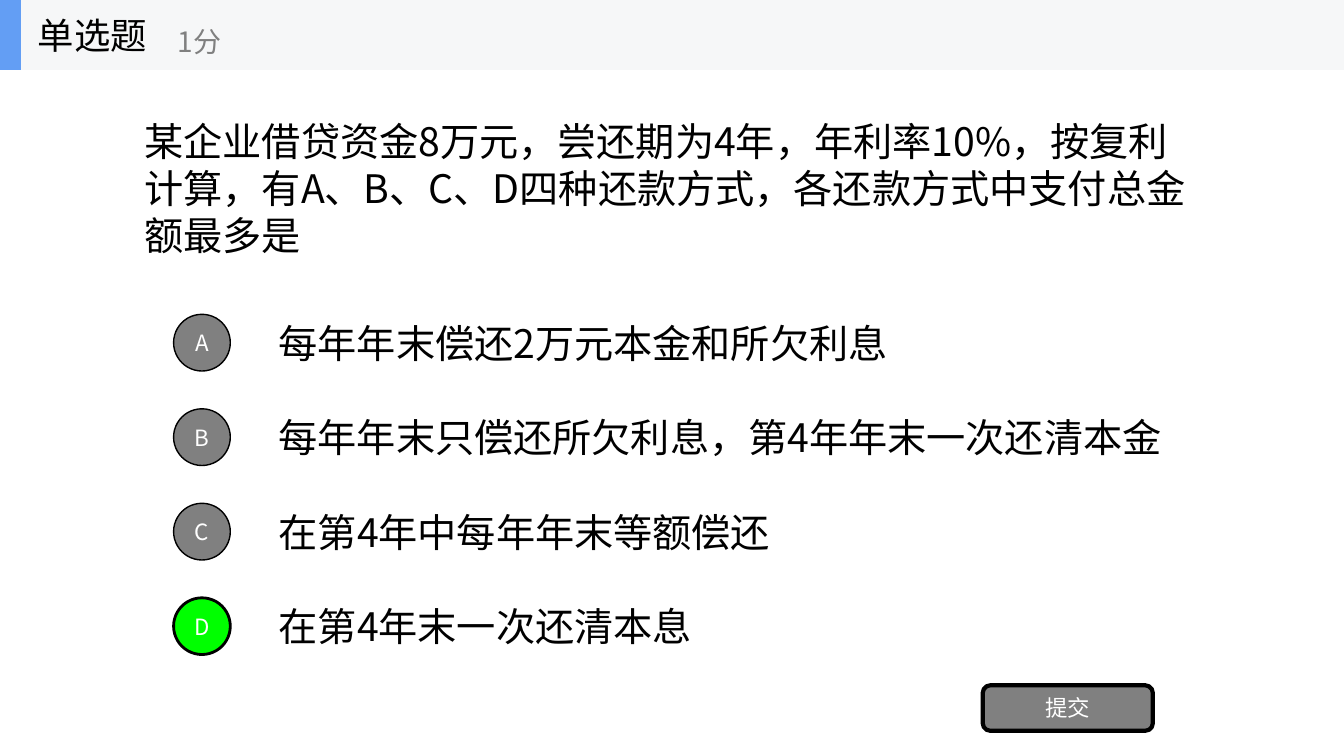
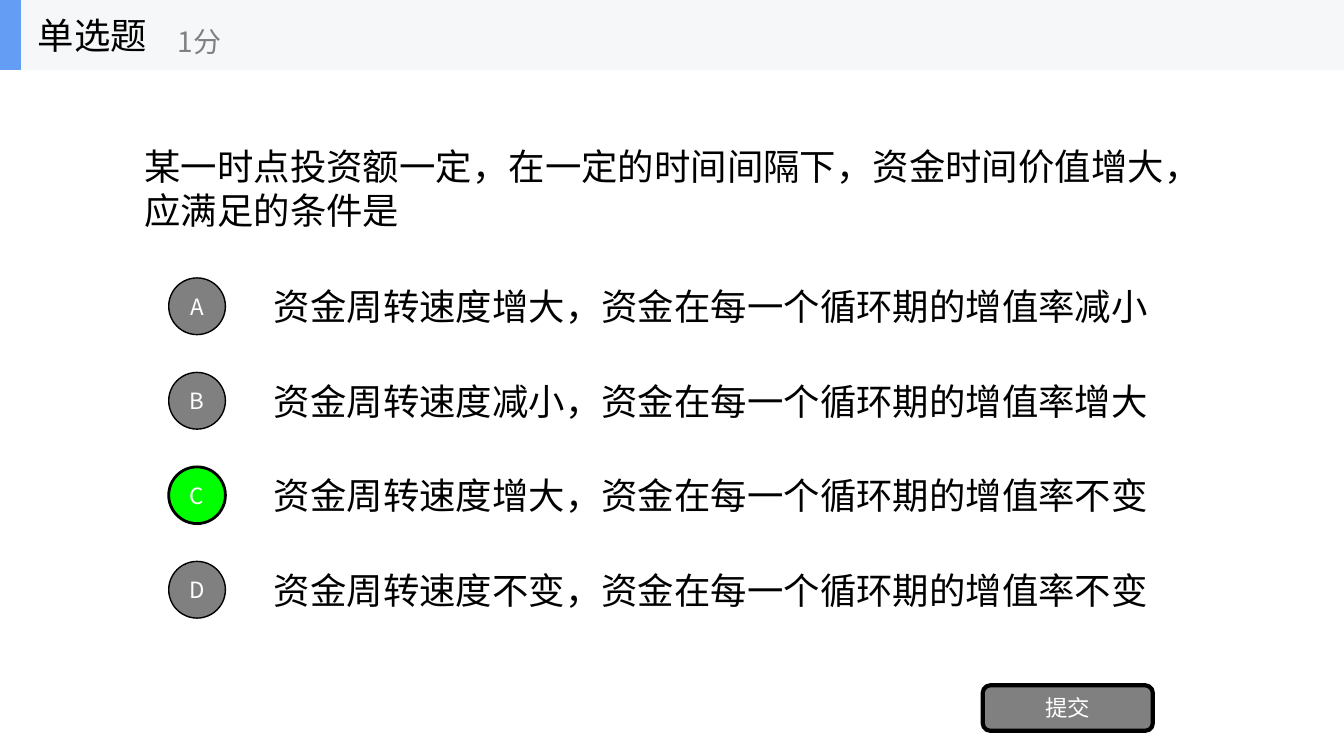
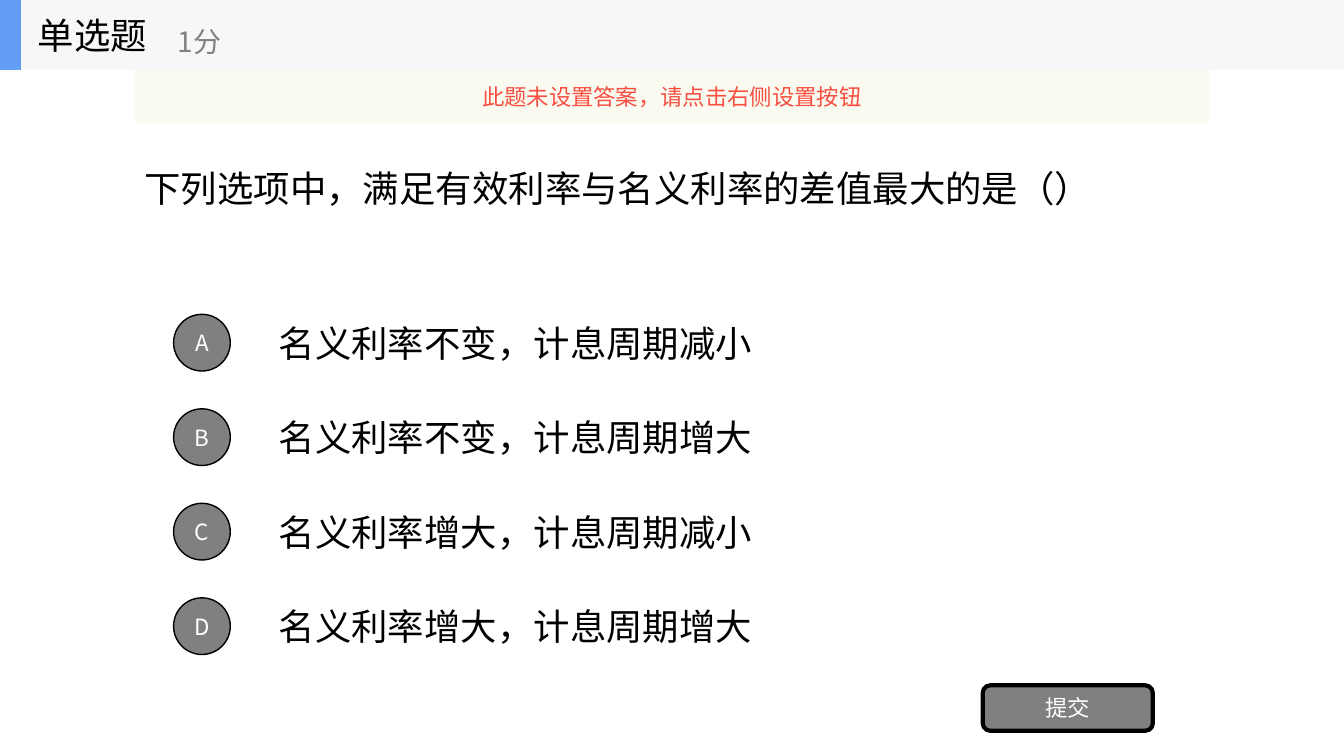
import pptx
import pptx.dml.color
import pptx.enum.shapes
import pptx.enum.text
import pptx.oxml.ns
import pptx.util
import lxml.etree
from dataclasses import dataclass

Pt = pptx.util.Pt
Shape = pptx.enum.shapes.MSO_SHAPE
Align = pptx.enum.text.PP_ALIGN
qn = pptx.oxml.ns.qn
rgb = pptx.dml.color.RGBColor.from_string


@dataclass(frozen=True)
class Theme:
    font: str = "Noto Sans CJK SC"
    ink: str = "000000"
    muted: str = "808080"
    white: str = "FFFFFF"
    band: str = "F6F7F8"
    accent: str = "639EF4"
    correct: str = "00FF00"
    notice_fill: str = "FBFAEF"
    notice_ink: str = "F84F41"
    heading_size: int = 26
    score_size: int = 20
    label_size: int = 16


theme = Theme()


def write_text(box, text, *, size, color=theme.ink, align=Align.LEFT):
    """Fill a box with one vertically centred paragraph."""
    frame = box.text_frame
    frame.word_wrap = True
    frame.auto_size = pptx.enum.text.MSO_AUTO_SIZE.NONE
    frame.vertical_anchor = pptx.enum.text.MSO_ANCHOR.MIDDLE
    para = frame.paragraphs[0]
    para.alignment = align
    span = para.add_run()
    span.text = text
    span.font.size = Pt(size)
    span.font.name = theme.font
    span.font.color.rgb = rgb(color)
    east_asian = lxml.etree.SubElement(span.font.element if hasattr(span.font, "element")
                                       else span.font._element, qn("a:ea"))
    east_asian.set("typeface", theme.font)


def add_filled(shapes, kind, left, top, width, height, fill, line_width=0):
    """Add a flat preset shape, outlined only when a line width is given."""
    shape = shapes.add_shape(kind, Pt(left), Pt(top), Pt(width), Pt(height))
    shape.shadow.inherit = False
    shape.fill.solid()
    shape.fill.fore_color.rgb = rgb(fill)
    if line_width:
        shape.line.color.rgb = rgb(theme.ink)
        shape.line.width = Pt(line_width)
    else:
        shape.line.fill.background()
    return shape


# Content of the questions
questions = [
    {
        "text": "某企业借贷资金8万元，尝还期为4年，年利率10%，按复利计算，"
                "有A、B、C、D四种还款方式，各还款方式中支付总金额最多是",
        "options": ["每年年末偿还2万元本金和所欠利息",
                    "每年年末只偿还所欠利息，第4年年末一次还清本金",
                    "在第4年中每年年末等额偿还",
                    "在第4年末一次还清本息"],
        "answer": "D", "size": 28, "left": 192, "top": 219.5, "notice": None,
    },
    {
        "text": "某一时点投资额一定，在一定的时间间隔下，资金时间价值增大，应满足的条件是",
        "options": ["资金周转速度增大，资金在每一个循环期的增值率减小",
                    "资金周转速度减小，资金在每一个循环期的增值率增大",
                    "资金周转速度增大，资金在每一个循环期的增值率不变",
                    "资金周转速度不变，资金在每一个循环期的增值率不变"],
        "answer": "C", "size": 26, "left": 188.5, "top": 193.5, "notice": None,
    },
    {
        "text": "下列选项中，满足有效利率与名义利率的差值最大的是（）",
        "options": ["名义利率不变，计息周期减小",
                    "名义利率不变，计息周期增大",
                    "名义利率增大，计息周期减小",
                    "名义利率增大，计息周期增大"],
        "answer": None, "size": 26, "left": 192, "top": 219.5,
        "notice": "此题未设置答案，请点击右侧设置按钮",
    },
]

# Shared measures
page_width, page_height = 960, 540
band_height = 50
body_left, body_width = 96, 768
option_pitch, option_width, option_height = 67.5, 672, 50.5
badge_size, badge_offset = 40.5, 68

deck = pptx.Presentation()
deck.slide_width, deck.slide_height = Pt(page_width), Pt(page_height)
title_only = deck.slide_layouts[5]

for question in questions:
    page = deck.slides.add_slide(title_only)
    shapes = page.shapes

    # Question
    title = shapes.title
    title.left, title.top = Pt(body_left), Pt(band_height)
    title.width, title.height = Pt(body_width), Pt(168.5)
    write_text(title, question["text"], size=question["size"])

    # Options with their letter badges
    for row, (letter, option) in enumerate(zip("ABCD", question["options"])):
        top = question["top"] + row * option_pitch
        box = shapes.add_textbox(Pt(question["left"]), Pt(top),
                                 Pt(option_width), Pt(option_height))
        write_text(box, option, size=question["size"])

        is_answer = letter == question["answer"]
        badge = add_filled(shapes, Shape.OVAL, question["left"] - badge_offset,
                           top + (option_height - badge_size) / 2,
                           badge_size, badge_size,
                           theme.correct if is_answer else theme.muted,
                           2 if is_answer else 1)
        badge.text_frame.margin_left = badge.text_frame.margin_right = 0
        write_text(badge, letter, size=theme.label_size, color=theme.white, align=Align.CENTER)

    # Submit button
    button = add_filled(shapes, Shape.ROUNDED_RECTANGLE, 702, 489.5, 121.5, 32.5, theme.muted, 3)
    write_text(button, "提交", size=theme.label_size, color=theme.white, align=Align.CENTER)

    # Header band
    header = shapes.add_group_shape().shapes
    add_filled(header, Shape.RECTANGLE, 0, 0, page_width, band_height, theme.band)
    add_filled(header, Shape.RECTANGLE, 0, 0, 15, band_height, theme.accent)
    kind_box = header.add_textbox(Pt(20), Pt(0), Pt(150), Pt(band_height))
    write_text(kind_box, "单选题", size=theme.heading_size)
    score_box = header.add_textbox(Pt(120), Pt(9), Pt(180), Pt(40.5))
    write_text(score_box, "1分", size=theme.score_size, color=theme.muted)

    # Notice under the header
    if question["notice"]:
        notice = add_filled(shapes, Shape.RECTANGLE, body_left, band_height,
                            body_width, 38, theme.notice_fill)
        fill_color = notice.element.spPr.find(qn("a:solidFill"))[0]
        lxml.etree.SubElement(fill_color, qn("a:alpha")).set("val", "90000")
        write_text(notice, question["notice"], size=theme.label_size,
                   color=theme.notice_ink, align=Align.CENTER)

deck.save("out.pptx")
